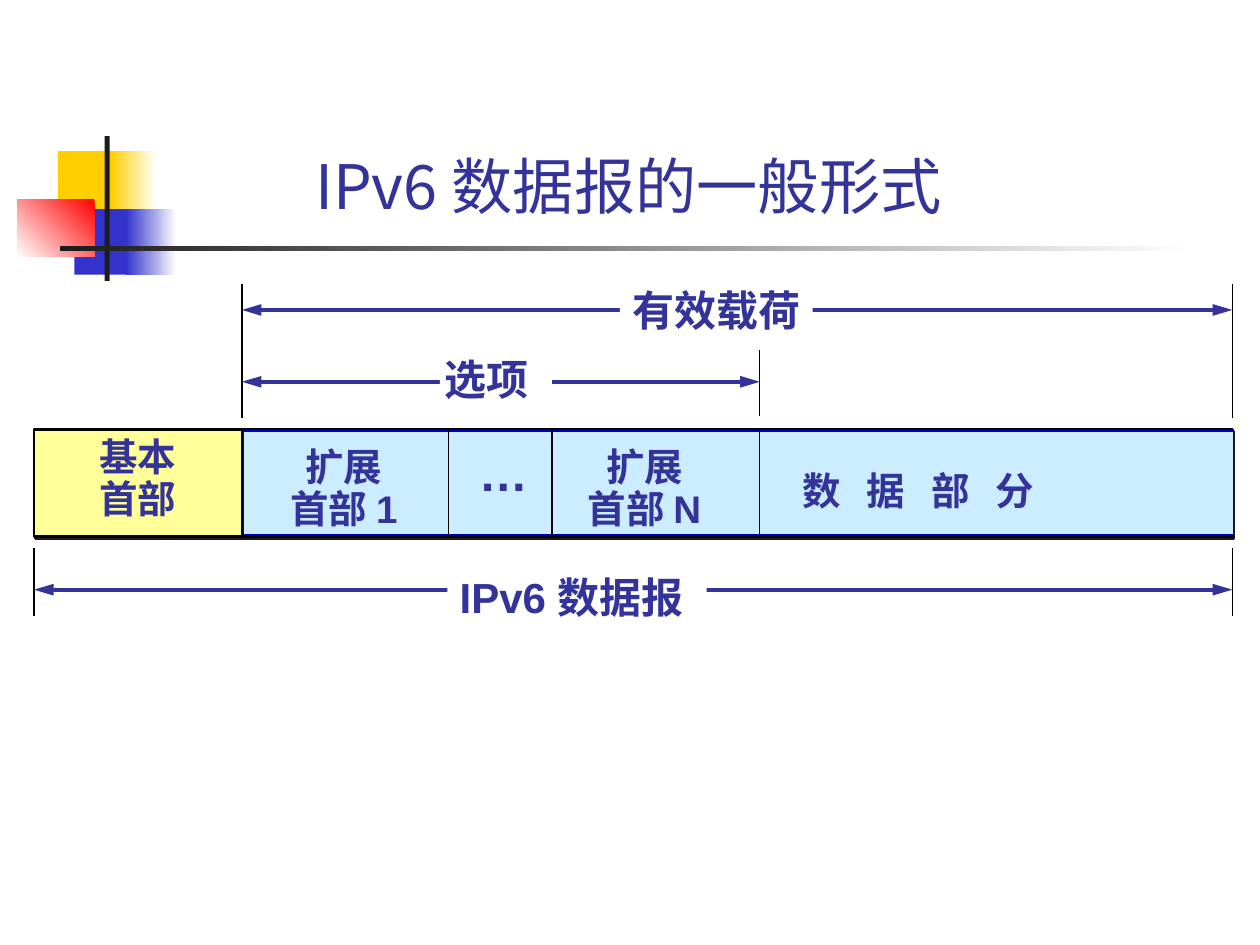
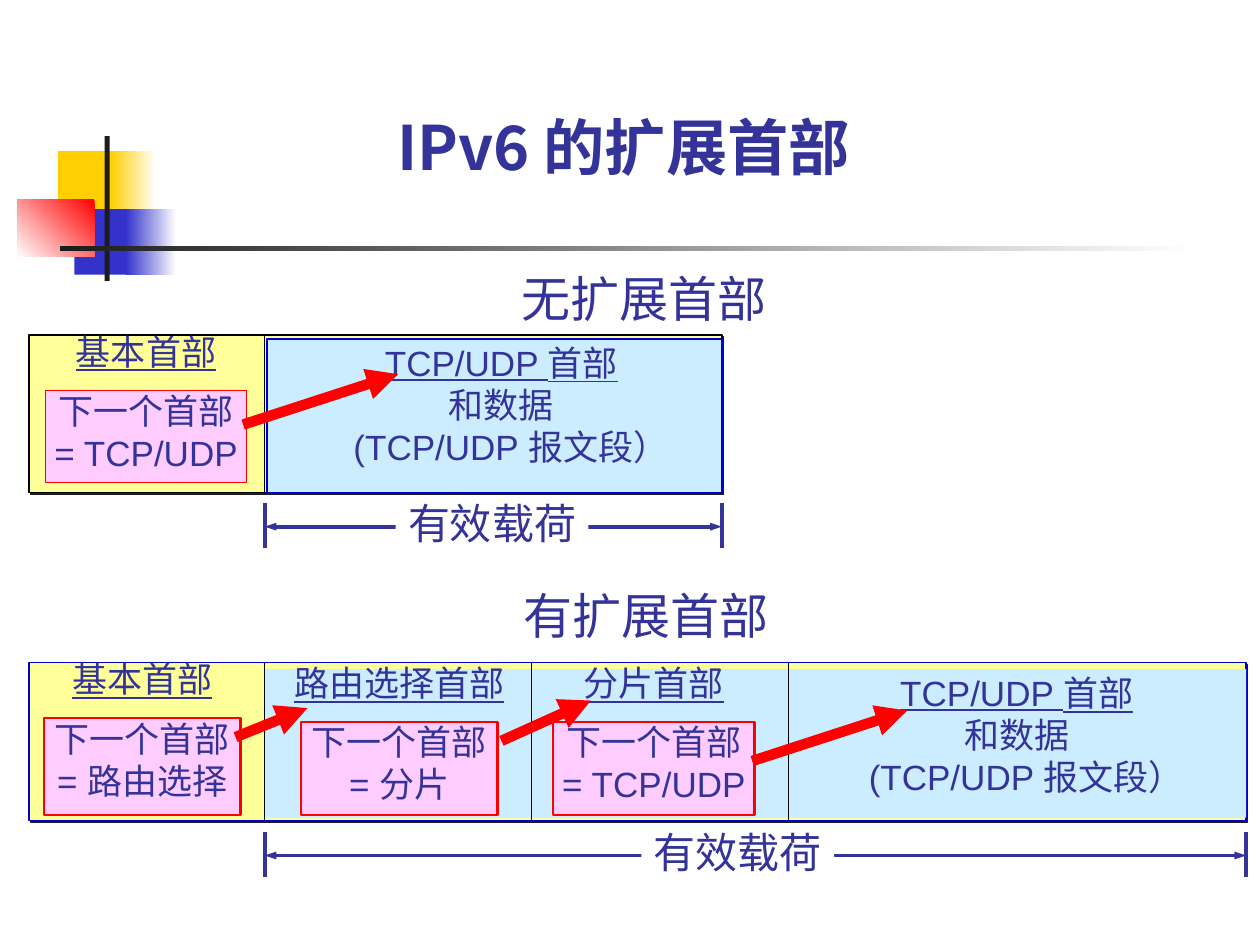
import pptx
import pptx.util
import pptx.dml.color
import pptx.enum.shapes
import pptx.enum.text
import pptx.oxml
import pptx.oxml.ns

Inches = pptx.util.Inches
Pt = pptx.util.Pt
qn = pptx.oxml.ns.qn
ALIGN = pptx.enum.text.PP_ALIGN

COLORS = {
    "ink": "333399", "black": "000000", "white": "FFFFFF", "dark": "1C1C1C",
    "gold": "FFCF01", "navy": "3333CC", "red": "FF0000", "edge": "0000CC",
    "yellow": "FFFF99", "sky": "CCECFF", "pink": "FFCCFF",
}
CJK = "Noto Sans CJK SC"


def rgb(name):
    return pptx.dml.color.RGBColor.from_string(COLORS[name])


def rect(s, box, fill, line=None, width=0.75, fade=None, angle=180, shadow=False):
    sp = s.shapes.add_shape(pptx.enum.shapes.MSO_SHAPE.RECTANGLE, *map(Inches, box))
    sp.shadow.inherit = False
    if fade:
        sp.fill.gradient()
        sp.fill.gradient_angle = angle
        for stop, name in zip(sp.fill.gradient_stops, (fill, fade)):
            stop.color.rgb = rgb(name)
    else:
        sp.fill.solid()
        sp.fill.fore_color.rgb = rgb(fill)
    if line:
        sp.line.color.rgb = rgb(line)
        sp.line.width = Pt(width)
    else:
        sp.line.fill.background()
    if shadow:
        effects = sp._element.spPr.find(qn("a:effectLst"))
        outer = effects.makeelement(qn("a:outerShdw"), {"dist": str(Pt(1.4)), "dir": "2700000"})
        effects.append(outer)
        color = outer.makeelement(qn("a:srgbClr"), {"val": COLORS["dark"]})
        outer.append(color)
    return sp


def line(s, x1, y1, x2, y2, color="black", width=0.75, ends=(), head=("med", "med")):
    c = s.shapes.add_connector(pptx.enum.shapes.MSO_CONNECTOR.STRAIGHT,
                               *map(Inches, (x1, y1, x2, y2)))
    c.line.color.rgb = rgb(color)
    c.line.width = Pt(width)
    ln = c.line._get_or_add_ln()
    for end in ends:
        ln.append(ln.makeelement(qn("a:" + end), {"type": "triangle", "w": head[0], "len": head[1]}))
    spPr = c._element.spPr
    spPr.append(spPr.makeelement(qn("a:effectLst"), {}))
    return c


def write(tf, paragraphs, size=20, font="Arial", bold=False, align=ALIGN.CENTER,
          spacing=None, track=None, underline_first=False, gap_second=None, indent_last=None):
    for i, words in enumerate(paragraphs):
        p = tf.paragraphs[0] if i == 0 else tf.add_paragraph()
        p.alignment = align
        if spacing:
            p.line_spacing = spacing
        if gap_second and i == 1:
            p.space_before = Pt(gap_second)
        if indent_last and i == len(paragraphs) - 1:
            p._p.get_or_add_pPr().set("marL", str(Inches(indent_last)))
        r = p.add_run()
        r.text = words
        r.font.size = Pt(size)
        r.font.bold = bold
        r.font.underline = underline_first and i == 0
        r.font.color.rgb = rgb("ink")
        r.font.name = font
        rPr = r._r.get_or_add_rPr()
        rPr.append(rPr.makeelement(qn("a:ea"), {"typeface": CJK}))
        if track:
            rPr.set("spc", str(int(track * 100)))


def text(s, box, *paragraphs, inset=0.1, **fmt):
    tf = s.shapes.add_textbox(*map(Inches, box)).text_frame
    tf.word_wrap = False
    tf.auto_size = pptx.enum.text.MSO_AUTO_SIZE.SHAPE_TO_FIT_TEXT
    tf.margin_left = Inches(inset)
    write(tf, paragraphs, **fmt)


def dimension(s, x1, x2, y, label, box, inset=0.1, bold=False, head=("med", "lg")):
    line(s, x1, y, x2, y, "ink", 2.25, ("headEnd", "tailEnd"), head)
    tf = rect(s, box, "white").text_frame
    tf.word_wrap = True
    tf.vertical_anchor = pptx.enum.text.MSO_ANCHOR.TOP
    tf.margin_left, tf.margin_right = Inches(inset), 0
    write(tf, [label], size=24, bold=bold, align=ALIGN.LEFT)


def decoration(s):
    rect(s, (0.46, 1.2, 0.48, 0.52), "gold")
    rect(s, (0.88, 1.2, 0.36, 0.52), "white", fade="gold")
    rect(s, (0.59, 1.66, 0.46, 0.52), "navy")
    rect(s, (1, 1.66, 0.4, 0.52), "white", fade="navy")
    rect(s, (0.14, 1.58, 0.61, 0.46), "red", fade="white", angle=225)
    rect(s, (0.83, 1.08, 0.04, 1.15), "dark")
    rect(s, (0.48, 1.95, 9, 0.04), "white", fade="dark")


def titled_slide(prs, title, box, bold=False):
    s = prs.slides.add_slide(prs.slide_layouts[5])
    decoration(s)
    sp = s.shapes.title
    sp.left, sp.top, sp.width, sp.height = map(Inches, box)
    tf = sp.text_frame
    tf.vertical_anchor = pptx.enum.text.MSO_ANCHOR.BOTTOM
    tf.auto_size = pptx.enum.text.MSO_AUTO_SIZE.NONE
    tf.margin_right = Inches(0.24)
    tf.margin_bottom = Inches(0.07)
    write(tf, [title], size=35, font=CJK, bold=bold)
    return s


def datagram(s, x, y, w, h):
    right, bottom = x + w, y + h
    payload, ellipsis, last, data = (x + d for d in (1.65, 3.29, 4.11, 5.76))
    rect(s, (x, y, w, h), "yellow", "black", 1.5, shadow=True)
    rect(s, (payload + 0.01, y + 0.01, right - payload, h - 0.03), "sky", "edge")
    for edge in (payload, ellipsis, last, data):
        line(s, edge, y, edge, bottom)

    field = dict(size=22, bold=True, spacing=0.9)
    text(s, (x + 0.42, y + 0.02, 0.81, 0.76), "基本", "首部", **field)
    text(s, (payload + 0.21, y + 0.1, 1.2, 0.76), "扩展", "首部 1", **field)
    text(s, (last + 0.11, y + 0.1, 1.25, 0.76), "扩展", "首部 N", **field)
    text(s, (ellipsis + 0.03, y + 0.05, 0.69, 0.57), "…", inset=0.21,
         size=28, bold=True, align=ALIGN.LEFT)
    text(s, (data + 0.24, y + 0.25, 2.1, 0.47), "数 据 部 分",
         size=22, bold=True, align=ALIGN.LEFT, track=5)

    for edge, top, end in ((payload, -1.16, -0.09), (right, -1.16, -0.09), (data, -0.63, -0.11),
                           (x, h + 0.09, h + 0.63), (right, h + 0.09, h + 0.63)):
        line(s, edge, y + top, edge, y + end)
    dimension(s, payload, data, y - 0.38, "选项", (x + 3.22, y - 0.65, 0.89, 0.5),
              inset=0.04, bold=True)
    dimension(s, x, right, bottom + 0.42, "IPv6 数据报",
              (x + 3.28, bottom + 0.23, 2.06, 0.5), bold=True)
    dimension(s, payload, right, y - 0.95, "有效载荷",
              (x + 4.65, y - 1.2, 1.53, 0.5), bold=True)


def header(s, x, y, w, h, name, following, width=1.5):
    overhang = 0.2
    rect(s, (x, y, w, h), "pink", "red", width)
    text(s, (x - overhang, y - 0.53, w + 2 * overhang, 1.24), name, "下一个首部", "= " + following,
         underline_first=True, gap_second=10)


def segment(s, x, y):
    text(s, (x, y, 2.92, 1.1), "TCP/UDP 首部", "和数据", "(TCP/UDP 报文段）",
         underline_first=True, indent_last=0.15)


def payload_span(s, x1, x2, y, label_x):
    for x in (x1, x2):
        line(s, x, y - 0.19, x, y + 0.17, "ink", 2.25)
    dimension(s, x1, x2, y, "有效载荷", (label_x, y - 0.28, 1.53, 0.5), head=("sm", "med"))


def heading(s, x, y, words):
    text(s, (x, y, 2.14, 0.57), words, size=28, font="Cabin", align=ALIGN.LEFT)


def red_arrows(s, x, y, arrows):
    for x1, y1, x2, y2 in arrows:
        line(s, x + x1, y + y1, x + x2, y + y2, "red", 6, ("tailEnd",))


def without_extensions(s, x, y, w, h):
    payload = x + 1.87
    heading(s, x + 3.81, y - 0.58, "无扩展首部")
    payload_span(s, payload, x + w, y + 1.52, x + 2.91)
    rect(s, (x, y, w, h), "yellow", "black", shadow=True)
    rect(s, (payload + 0.02, y + 0.03, w - 1.89, h - 0.03), "sky", "edge")
    header(s, x + 0.13, y + 0.44, 1.6, 0.73, "基本首部", "TCP/UDP", 0.75)
    line(s, payload, y, payload, y + h)
    segment(s, x + 2.29, y)
    red_arrows(s, x, y, [(1.7, 0.71, 2.93, 0.31)])


def with_extensions(s, x, y, w, h):
    payload = x + 1.87
    heading(s, x + 3.83, y - 0.66, "有扩展首部")
    payload_span(s, payload, x + w, y + 1.53, x + 4.86)
    rect(s, (x, y, w, h), "yellow", "edge", shadow=True)
    rect(s, (payload, y + 0.05, w - 1.87, h - 0.07), "sky")
    header(s, x + 0.12, y + 0.44, 1.56, 0.77, "基本首部", "路由选择")
    header(s, x + 2.16, y + 0.47, 1.56, 0.74, "路由选择首部", "分片")
    header(s, x + 4.16, y + 0.47, 1.6, 0.74, "分片首部", "TCP/UDP")
    for edge in (1.87, 3.99, 6.03):
        line(s, x + edge, y, x + edge, y + h)
    segment(s, x + 6.38, y + 0.02)
    red_arrows(s, x, y, [(1.64, 0.59, 2.21, 0.36), (3.75, 0.62, 4.46, 0.3),
                         (5.74, 0.78, 6.97, 0.38)])


def main():
    prs = pptx.Presentation()
    prs.slide_width, prs.slide_height = Inches(10), Inches(7.5)

    s = titled_slide(prs, "IPv6 数据报的一般形式", (1.26, 0.23, 7.6, 1.6))
    datagram(s, 0.27, 3.41, 9.51, 0.85)

    s = titled_slide(prs, "IPv6 的扩展首部", (1.26, 0.6, 7.52, 0.92), bold=True)
    without_extensions(s, 0.23, 2.66, 5.5, 1.25)
    with_extensions(s, 0.23, 5.26, 9.66, 1.25)

    prs.save("out.pptx")


if __name__ == "__main__":
    main()
